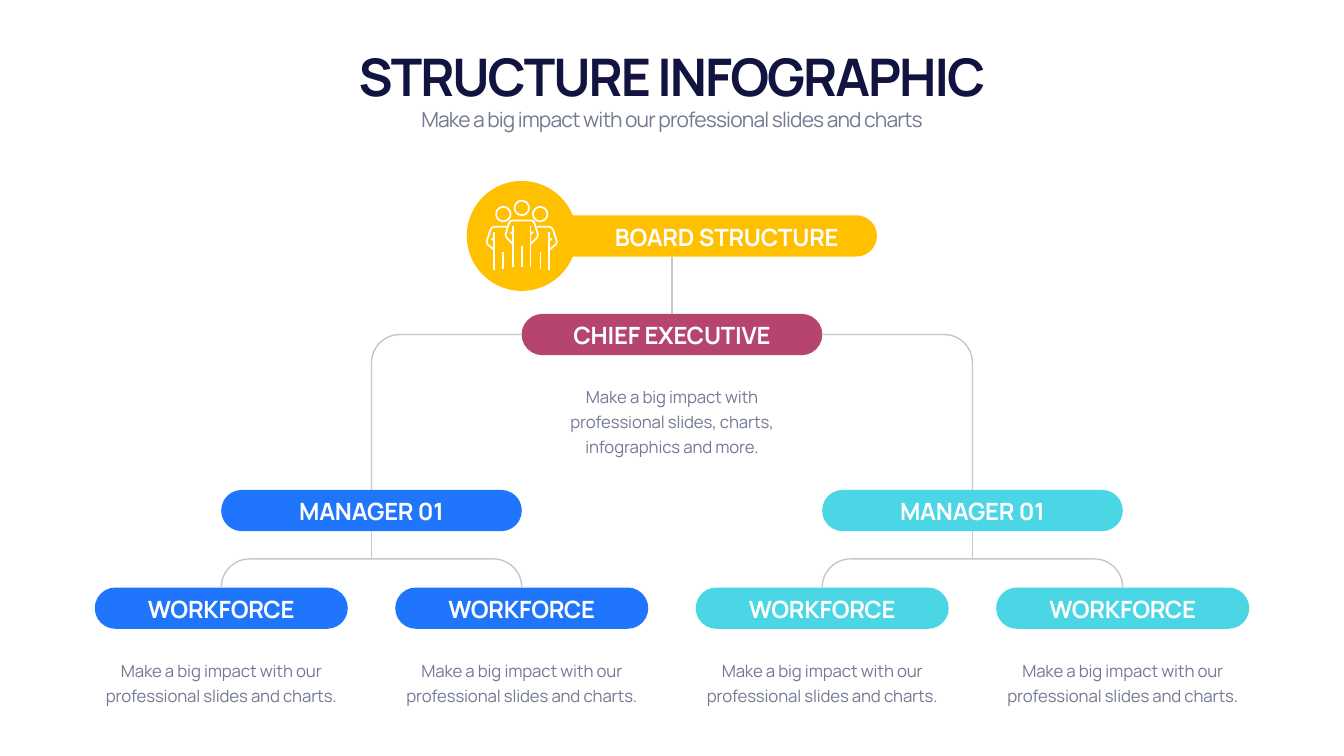
"""Builds a board structure chart slide."""
import math
from dataclasses import dataclass
from itertools import pairwise

from lxml import etree
from pptx import Presentation
from pptx.dml.color import RGBColor
from pptx.enum import shapes, text
from pptx.oxml import ns
from pptx.util import Cm, Pt


@dataclass(frozen=True)
class Theme:
    """Colours, type sizes and strokes of the slide."""
    font: str = "Manrope"
    navy: str = "111340"
    grey: str = "747994"
    white: str = "FFFFFF"
    amber: str = "FFC000"
    rose: str = "B5446E"
    blue: str = "2075FD"
    cyan: str = "4BD6E5"
    rule: str = "C3C8CE"
    title: int = 74
    subtitle: int = 30
    label: int = 34
    body: int = 24
    link: float = 2
    icon: float = 2.5


THEME = Theme()
WIDTH, HEIGHT = 67.72, 38.1
MIDDLE = WIDTH / 2
PITCH = 15.14
COLUMNS = [MIDDLE + PITCH * (i - 1.5) for i in range(4)]
MANAGERS = [MIDDLE - PITCH, MIDDLE + PITCH]
PILL_HEIGHT, PILL_WIDTH, WORK_WIDTH = 2.08, 15.15, 12.75
BOARD_Y, CHIEF_Y, MANAGER_Y, WORK_Y = 10.85, 15.82, 24.69, 29.61
BRACKET_Y = 28.17
CORNER = 1.43


def rgb(colour):
    """Turn a hex string into a colour."""
    return RGBColor.from_string(colour)


def write(holder, words, size, colour, bold=False, spacing=0, margins=(0, 0, 0, 0),
          anchor=text.MSO_ANCHOR.TOP, leading=None):
    """Put one centred paragraph into a shape and format it."""
    frame = holder.text_frame
    frame.text = words
    frame.word_wrap = True
    frame.auto_size = text.MSO_AUTO_SIZE.NONE
    frame.vertical_anchor = anchor
    frame.margin_left, frame.margin_top, frame.margin_right, frame.margin_bottom = map(Cm, margins)
    paragraph = frame.paragraphs[0]
    paragraph.alignment = text.PP_ALIGN.CENTER
    paragraph.space_before = Pt(0)
    if leading:
        paragraph.line_spacing = Pt(leading)
    for run in paragraph.runs:
        run.font.name, run.font.size, run.font.bold = THEME.font, Pt(size), bold
        run.font.color.rgb = rgb(colour)
        run.font._element.set("spc", str(round(spacing * 100)))


def heading(holder, words, top, height, inset, size, colour, bold, spacing):
    """Place and fill a title or subtitle placeholder."""
    holder.left, holder.top, holder.width, holder.height = map(Cm, (4.23, top, 59.26, height))
    write(holder, words, size, colour, bold, spacing, (0, inset, 0, 0))


def pill(slide, centre, top, width, colour, words, indent=0):
    """Draw a rounded bar with its label."""
    bar = slide.shapes.add_shape(shapes.MSO_SHAPE.ROUNDED_RECTANGLE, Cm(centre - width / 2),
                                 Cm(top), Cm(width), Cm(PILL_HEIGHT))
    bar.adjustments[0] = 0.5
    bar.shadow.inherit = False
    bar.fill.solid()
    bar.fill.fore_color.rgb = rgb(colour)
    bar.line.fill.background()
    write(bar, words, THEME.label, THEME.white, True, -0.3, (indent, 0.08, 0, 0),
          text.MSO_ANCHOR.MIDDLE)


def description(slide, centre, top, width, height, words):
    """Add a grey explanatory text."""
    box = slide.shapes.add_textbox(Cm(centre - width / 2), Cm(top), Cm(width), Cm(height))
    write(box, words, THEME.body, THEME.grey, spacing=-0.2, margins=(0.4, 0.14, 0.4, 0.14),
          leading=36)


def disc(slide, x, y, radius, colour):
    """Draw a filled circle."""
    circle = slide.shapes.add_shape(shapes.MSO_SHAPE.OVAL, Cm(x - radius), Cm(y - radius),
                                    Cm(2 * radius), Cm(2 * radius))
    circle.shadow.inherit = False
    circle.fill.solid()
    circle.fill.fore_color.rgb = rgb(colour)
    circle.line.fill.background()


def line(slide, start, end):
    """Draw a straight connector."""
    link = slide.shapes.add_connector(shapes.MSO_CONNECTOR.STRAIGHT, *map(Cm, (*start, *end)))
    link.line.color.rgb, link.line.width = rgb(THEME.rule), Pt(THEME.link)
    etree.SubElement(link._element.spPr, ns.qn("a:effectLst"))


def outline(slide, strokes, colour, weight):
    """Draw one unfilled shape made of open strokes."""
    (start, *rest), *others = [[(Cm(x), Cm(y)) for x, y in stroke] for stroke in strokes]
    builder = slide.shapes.build_freeform(*start)
    builder.add_line_segments(rest, close=False)
    for start, *rest in others:
        builder.move_to(*start)
        builder.add_line_segments(rest, close=False)
    drawing = builder.convert_to_shape()
    drawing.shadow.inherit = False
    drawing.fill.background()
    drawing.line.color.rgb, drawing.line.width = rgb(colour), Pt(weight)


def rounded(points, steps=16):
    """Replace the right-angled corners of a route by arcs."""
    legs = [((bx - ax) / math.dist((ax, ay), (bx, by)), (by - ay) / math.dist((ax, ay), (bx, by)))
            for (ax, ay), (bx, by) in pairwise(points)]
    route = [points[0]]
    for (x, y), (ux, uy), (wx, wy) in zip(points[1:-1], legs, legs[1:]):
        for step in range(steps + 1):
            angle = math.pi / 2 * step / steps
            before, after = CORNER * (1 - math.sin(angle)), CORNER * (1 - math.cos(angle))
            route.append((x - before * ux + after * wx, y - before * uy + after * wy))
    return route + [points[-1]]


def ring(x, y, radius, steps=48):
    """List the points of a circle."""
    angles = [math.tau * step / steps for step in range(steps + 1)]
    return [(x + radius * math.cos(angle), y + radius * math.sin(angle)) for angle in angles]


def team_icon(slide, x, y):
    """Draw three standing people on an amber disc."""
    disc(slide, x, y, 2.77, THEME.amber)
    heads = [ring(dx, dy, 0.36) for dx, dy in ((0, -1.41), (-0.93, -1.1), (0.93, -1.1))]
    half = [[(0.44, -0.5), (0.44, 1.55)], [(0.57, -0.2), (0.44, -0.08)],
            [(0.94, 0.83), (0.94, 1.65)], [(1.38, -0.18), (1.38, 1.73)],
            [(1.52, 0.13), (1.38, 0.25)],
            [(0, -0.78), (0.44, -0.78), (0.57, -0.75), (0.66, -0.6), (0.82, -0.06),
             (0.76, 0.1), (0.44, 0.41)],
            [(0.76, -0.46), (1.37, -0.46), (1.5, -0.42), (1.6, -0.25), (1.77, 0.28),
             (1.72, 0.43), (1.38, 0.71)]]
    mirrored = [[(-dx, dy) for dx, dy in stroke] for stroke in half]
    legs = [[(0, 0.5), (0, 1.55)]]
    strokes = [[(x + dx, y + dy) for dx, dy in stroke]
               for stroke in heads + legs + half + mirrored]
    outline(slide, strokes, THEME.white, THEME.icon)


def links(slide):
    """Connect the levels of the structure."""
    chief_middle = CHIEF_Y + PILL_HEIGHT / 2
    line(slide, (MIDDLE, BOARD_Y + PILL_HEIGHT), (MIDDLE, CHIEF_Y))
    for manager, chief_edge in zip(MANAGERS, COLUMNS[1:3]):
        left, right = manager - PITCH / 2, manager + PITCH / 2
        branch = [(manager, MANAGER_Y), (manager, chief_middle), (chief_edge, chief_middle)]
        bracket = [(left, WORK_Y), (left, BRACKET_Y), (right, BRACKET_Y), (right, WORK_Y)]
        for route in (branch, bracket):
            outline(slide, [rounded(route)], THEME.rule, THEME.link)
        line(slide, (manager, MANAGER_Y + PILL_HEIGHT), (manager, BRACKET_Y))


def main():
    """Build and save the slide."""
    deck = Presentation()
    deck.slide_width, deck.slide_height = Cm(WIDTH), Cm(HEIGHT)
    slide = deck.slides.add_slide(deck.slide_layouts[0])
    heading(slide.shapes.title, "STRUCTURE INFOGRAPHIC", 2.08, 3.78, 0.15,
            THEME.title, THEME.navy, True, -2.9)
    heading(slide.placeholders[1], "Make a big impact with our professional slides and charts",
            5.26, 1.55, 0.1, THEME.subtitle, THEME.grey, False, -1.2)
    pill(slide, 35.24, BOARD_Y, 17.9, THEME.amber, "BOARD STRUCTURE", 2.77)
    team_icon(slide, COLUMNS[1], BOARD_Y + PILL_HEIGHT / 2)
    pill(slide, MIDDLE, CHIEF_Y, PILL_WIDTH, THEME.rose, "CHIEF EXECUTIVE")
    description(slide, MIDDLE, 19.1, 13.82, 4.04,
                "Make a big impact with professional slides, charts, infographics and more.")
    for manager, colour in zip(MANAGERS, (THEME.blue, THEME.cyan)):
        pill(slide, manager, MANAGER_Y, PILL_WIDTH, colour, "MANAGER 01")
        for column in (manager - PITCH / 2, manager + PITCH / 2):
            pill(slide, column, WORK_Y, WORK_WIDTH, colour, "WORKFORCE")
            description(slide, column, 32.89, 13.18, 2.77,
                        "Make a big impact with our professional slides and charts.")
    links(slide)
    deck.save("out.pptx")


if __name__ == "__main__":
    main()
